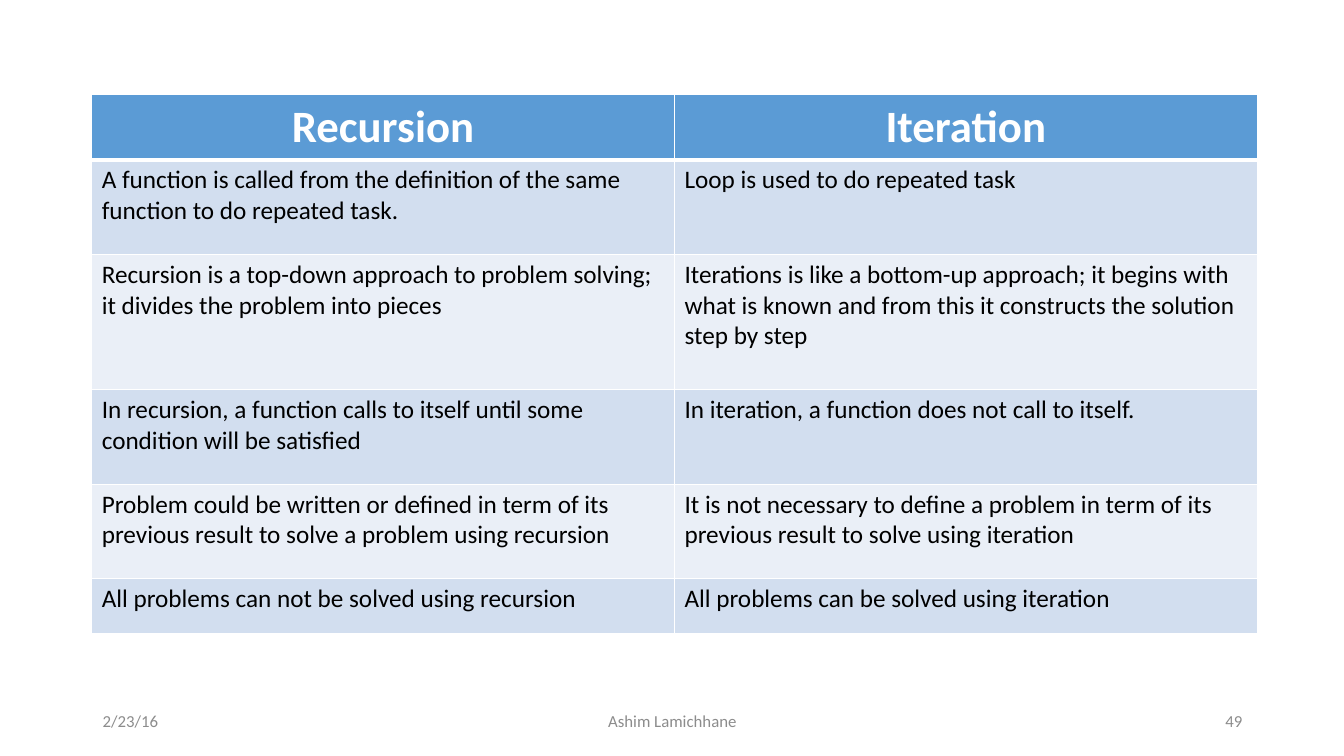
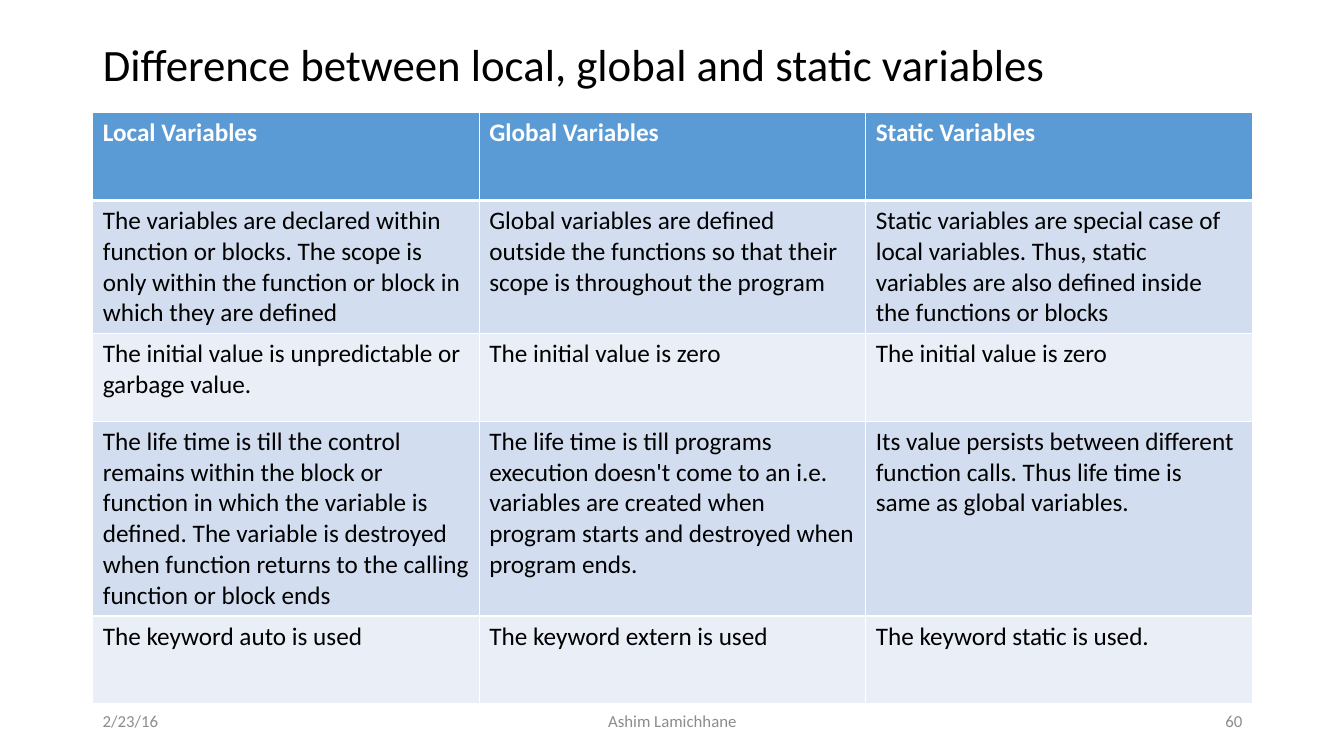
from dataclasses import dataclass

from lxml import etree
from pptx import Presentation
from pptx.dml.color import RGBColor
from pptx.enum.text import MSO_ANCHOR, MSO_AUTO_SIZE, PP_ALIGN
from pptx.oxml.ns import qn
from pptx.slide import Slide
from pptx.table import _Cell
from pptx.text.text import TextFrame
from pptx.util import Inches, Pt

LEFT, CENTER, RIGHT = PP_ALIGN.LEFT, PP_ALIGN.CENTER, PP_ALIGN.RIGHT
MIDDLE, NO_FIT = MSO_ANCHOR.MIDDLE, MSO_AUTO_SIZE.NONE

# Shared look
COLORS = {
    "header": "5B9BD5",
    "band_dark": "D2DEEF",
    "band_light": "EAEFF7",
    "rule": "FFFFFF",
    "header_text": "FFFFFF",
    "text": "000000",
    "footer": "8C8C8C",
}
FONT = "Calibri"
HEADING_SIZE, BODY_SIZE, FOOTER_SIZE = 32, 18, 12
THIN_RULE, THICK_RULE = 1, 3

# Page grid, in inches
SLIDE_W, SLIDE_H = 13.33, 7.5
MARGIN = 0.92
CONTENT_W = 11.5
TITLE_TOP, TITLE_H = 0.27, 0.78
FOOTER_TOP, FOOTER_H = 6.95, 0.4
FOOTER_SIDE_W, FOOTER_MIDDLE_W = 3.0, 4.5

TITLE_ONLY, BLANK = 5, 6
DATE, AUTHOR = "2/23/16", "Ashim Lamichhane"


@dataclass(frozen=True)
class FooterPart:
    text: str
    left: float
    width: float
    align: PP_ALIGN


@dataclass(frozen=True)
class Comparison:
    """One slide that compares concepts, one concept to a column."""
    number: str
    title: str
    left: float
    top: float
    width: float
    row_heights: list[float]
    header_size: int
    header_align: PP_ALIGN
    rows: list[list[str]]


# Content
COMPARISONS = [
    Comparison(
        number="49", title="", left=0.91, top=0.94, width=11.56,
        row_heights=[0.54, 0.94, 1.34, 0.94, 0.94, 0.54],
        header_size=HEADING_SIZE, header_align=CENTER,
        rows=[
            ["Recursion", "Iteration"],
            ["A function is called from the definition of the same function "
             "to do repeated task.",
             "Loop is used to do repeated task"],
            ["Recursion is a top-down approach to problem solving; it divides "
             "the problem into pieces",
             "Iterations is like a bottom-up approach; it begins with what is "
             "known and from this it constructs the solution step by step"],
            ["In recursion, a function calls to itself until some condition "
             "will be satisfied",
             "In iteration, a function does not call to itself."],
            ["Problem could be written or defined in term of its previous "
             "result to solve a problem using recursion",
             "It is not necessary to define a problem in term of its previous "
             "result to solve using iteration"],
            ["All problems can not be solved using recursion",
             "All problems can be solved using iteration"],
        ],
    ),
    Comparison(
        number="60",
        title="Difference between local, global and static variables",
        left=MARGIN, top=1.12, width=CONTENT_W,
        row_heights=[0.87, 1.24, 0.87, 1.82, 0.87],
        header_size=BODY_SIZE, header_align=LEFT,
        rows=[
            ["Local Variables", "Global Variables", "Static Variables"],
            ["The variables are declared within function or blocks. The scope "
             "is only within the function or block in which they are defined",
             "Global variables are defined outside the functions so that their "
             "scope is throughout the program",
             "Static variables are special case of local variables. Thus, "
             "static variables are also defined inside the functions or "
             "blocks"],
            ["The initial value is unpredictable or garbage value.",
             "The initial value is zero",
             "The initial value is zero"],
            ["The life time is till the control remains within the block or "
             "function in which the variable is defined. The variable is "
             "destroyed when function returns to the calling function or "
             "block ends",
             "The life time is till programs execution doesn't come to an "
             "i.e. variables are created when program starts and destroyed "
             "when program ends.",
             "Its value persists between different function calls. Thus life "
             "time is same as global variables."],
            ["The keyword auto is used",
             "The keyword extern is used",
             "The keyword static is used."],
        ],
    ),
]


def write(frame: TextFrame, text: str, size: int, color: str,
          align: PP_ALIGN = LEFT, bold: bool = False) -> None:
    frame.text = text
    frame.word_wrap = True
    paragraph = frame.paragraphs[0]
    paragraph.alignment = align
    font = paragraph.runs[0].font
    font.name, font.size, font.bold = FONT, Pt(size), bold
    font.color.rgb = RGBColor.from_string(COLORS[color])


def add_title(slide: Slide, text: str) -> None:
    title = slide.shapes.title
    title.left, title.top = Inches(MARGIN), Inches(TITLE_TOP)
    title.width, title.height = Inches(CONTENT_W), Inches(TITLE_H)
    frame = title.text_frame
    write(frame, text, HEADING_SIZE, "text")
    frame.auto_size = NO_FIT
    frame.vertical_anchor = MIDDLE
    frame.paragraphs[0].line_spacing = 0.9


def add_footer(slide: Slide, number: str) -> None:
    middle_left = MARGIN + (CONTENT_W - FOOTER_MIDDLE_W) / 2
    right_left = MARGIN + CONTENT_W - FOOTER_SIDE_W
    parts = [
        FooterPart(DATE, MARGIN, FOOTER_SIDE_W, LEFT),
        FooterPart(AUTHOR, middle_left, FOOTER_MIDDLE_W, CENTER),
        FooterPart(number, right_left, FOOTER_SIDE_W, RIGHT),
    ]
    for part in parts:
        box = slide.shapes.add_textbox(
            Inches(part.left), Inches(FOOTER_TOP),
            Inches(part.width), Inches(FOOTER_H))
        write(box.text_frame, part.text, FOOTER_SIZE, "footer", part.align)
        box.text_frame.vertical_anchor = MIDDLE


def add_borders(cell: _Cell, top: int, bottom: int) -> None:
    """Rule all four sides; must run before the cell gets its fill."""
    properties = cell._tc.get_or_add_tcPr()
    widths = {"L": THIN_RULE, "R": THIN_RULE, "T": top, "B": bottom}
    for side, width in widths.items():
        line = etree.SubElement(properties, qn(f"a:ln{side}"), w=str(Pt(width)))
        fill = etree.SubElement(line, qn("a:solidFill"))
        etree.SubElement(fill, qn("a:srgbClr"), val=COLORS["rule"])


def add_comparison_table(slide: Slide, comparison: Comparison) -> None:
    rows = comparison.rows
    column_count = len(rows[0])
    table = slide.shapes.add_table(
        len(rows), column_count,
        Inches(comparison.left), Inches(comparison.top),
        Inches(comparison.width), Inches(sum(comparison.row_heights))).table
    for column in table.columns:
        column.width = Inches(comparison.width / column_count)

    for r, (height, texts) in enumerate(zip(comparison.row_heights, rows)):
        table.rows[r].height = Inches(height)
        is_header = r == 0
        band = "header" if is_header else "band_dark" if r % 2 else "band_light"
        for c, text in enumerate(texts):
            cell = table.cell(r, c)
            add_borders(cell,
                        top=THICK_RULE if r == 1 else THIN_RULE,
                        bottom=THICK_RULE if is_header else THIN_RULE)
            cell.fill.solid()
            cell.fill.fore_color.rgb = RGBColor.from_string(COLORS[band])
            if is_header:
                write(cell.text_frame, text, comparison.header_size,
                      "header_text", comparison.header_align, bold=True)
            else:
                write(cell.text_frame, text, BODY_SIZE, "text")


def main() -> None:
    deck = Presentation()
    deck.slide_width, deck.slide_height = Inches(SLIDE_W), Inches(SLIDE_H)
    for comparison in COMPARISONS:
        layout = deck.slide_layouts[TITLE_ONLY if comparison.title else BLANK]
        slide = deck.slides.add_slide(layout)
        if comparison.title:
            add_title(slide, comparison.title)
        add_comparison_table(slide, comparison)
        add_footer(slide, comparison.number)
    deck.save("out.pptx")


if __name__ == "__main__":
    main()
